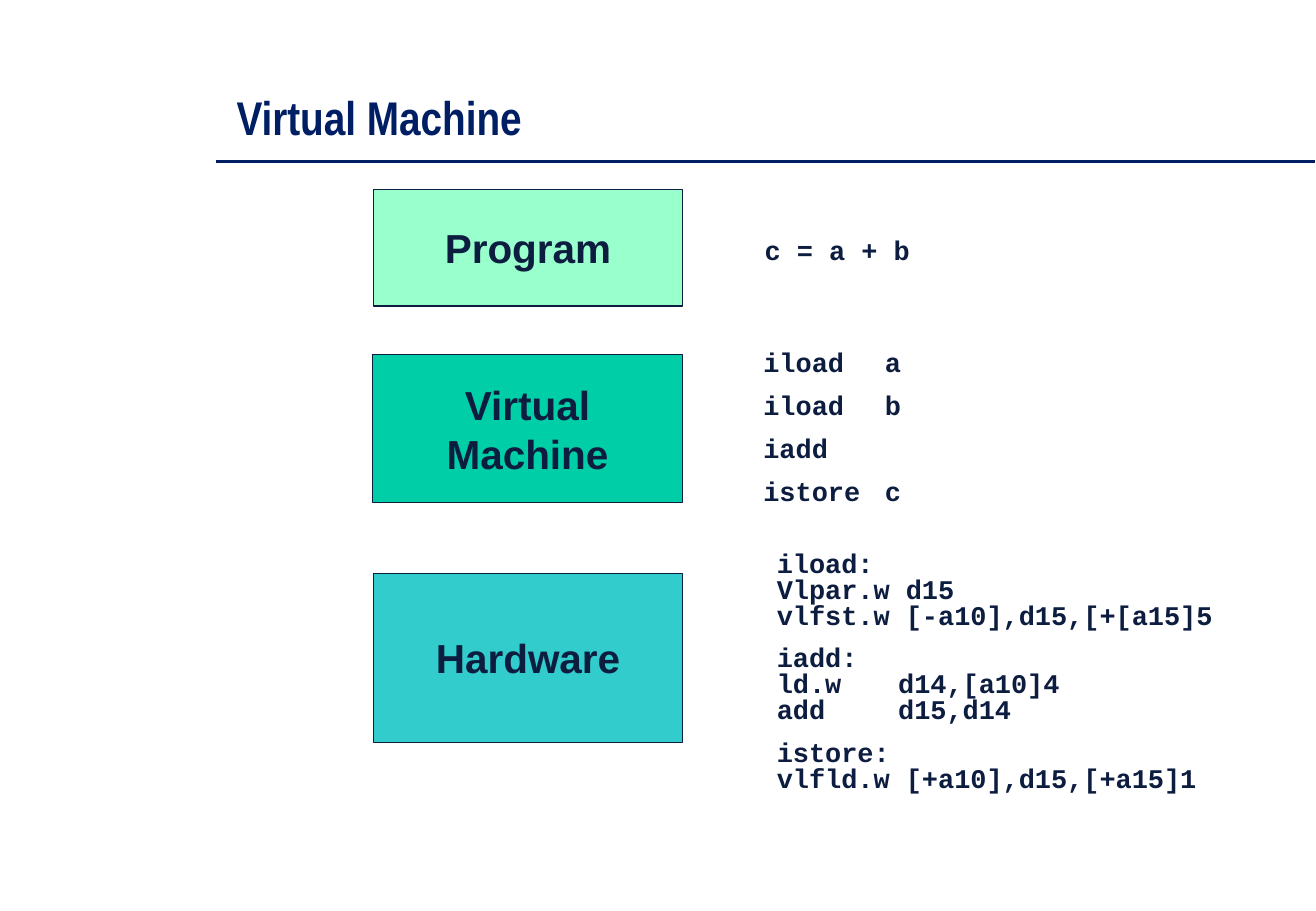
from lxml import etree
from pptx import Presentation
from pptx import util as u
from pptx.dml.color import RGBColor
from pptx.enum import shapes, text
from pptx.oxml.ns import qn

INK = "0D1D40"
NAVY = "001E64"

LAYERS = [  # label, left, top, width, height, fill
    ("Program", 3.08, 1.56, 2.54, 0.96, "99FFCC"),
    ("Virtual\nMachine", 3.07, 2.92, 2.55, 1.22, "00CEA7"),
    ("Hardware", 3.08, 4.72, 2.54, 1.39, "33CCCC"),
]

LISTINGS = [  # paragraphs, left, top, width, height, line spacing
    (["c = a + b"], 6.2, 1.87, 1.53, 0.37, None),
    (["iload\ta", "iload\tb", "iadd", "istore\tc"], 6.19, 2.85, 1.33, 1.37, 0.8),
    (["iload:\nVlpar.w d15\nvlfst.w [-a10],d15,[+[a15]5",
      "iadd:\nld.w\td14,[a10]4\nadd\td15,d14",
      "istore:\nvlfld.w [+a10],d15,[+a15]1"], 6.3, 4.5, 3.79, 2.09, 0.8),
]


def color(value):
    return RGBColor.from_string(value)


def inches(*values):
    return [u.Inches(value) for value in values]


def write(shape, paragraphs, font="Arial", size=24, ink=INK, align=text.PP_ALIGN.LEFT,
          anchor=text.MSO_ANCHOR.TOP, grow=False, line_spacing=None, gap=None, tab=None):
    """Fill a shape with bold paragraphs; a newline is a line break."""
    frame = shape.text_frame
    frame.word_wrap = False
    frame.vertical_anchor = anchor
    if grow:
        frame.auto_size = text.MSO_AUTO_SIZE.SHAPE_TO_FIT_TEXT
    for index, content in enumerate(paragraphs):
        paragraph = frame.add_paragraph() if index else frame.paragraphs[0]
        paragraph.text = content
        paragraph.alignment = align
        if line_spacing:
            paragraph.line_spacing = line_spacing
        if gap and index:
            paragraph.space_before = u.Pt(gap)
        if tab:
            stops = etree.SubElement(paragraph._p.get_or_add_pPr(), qn("a:tabLst"))
            etree.SubElement(stops, qn("a:tab"), pos=str(u.Inches(tab)), algn="l")
        for run in paragraph.runs:
            run.font.name = font
            run.font.size = u.Pt(size)
            run.font.bold = True
            run.font.color.rgb = color(ink)


def add_layer(slide, label, left, top, width, height, fill):
    shape = slide.shapes.add_shape(shapes.MSO_SHAPE.RECTANGLE,
                                   *inches(left, top, width, height))
    shape.shadow.inherit = False
    shape.fill.solid()
    shape.fill.fore_color.rgb = color(fill)
    shape.line.color.rgb = color(INK)
    shape.line.width = u.Pt(0.75)
    write(shape, [label], align=text.PP_ALIGN.CENTER, anchor=text.MSO_ANCHOR.MIDDLE)


def add_text(slide, paragraphs, left, top, width, height, **style):
    box = slide.shapes.add_textbox(*inches(left, top, width, height))
    write(box, paragraphs, grow=True, **style)


def add_rule(slide, left, right, y):
    rule = slide.shapes.add_connector(shapes.MSO_CONNECTOR.STRAIGHT,
                                      *inches(left, y, right, y))
    rule.line.color.rgb = color(NAVY)
    rule.line.width = u.Pt(1.75)
    etree.SubElement(rule._element.spPr, qn("a:effectLst"))


def main():
    presentation = Presentation()
    presentation.slide_width, presentation.slide_height = inches(10.84, 7.5)
    slide = presentation.slides.add_slide(presentation.slide_layouts[6])

    # Heading
    add_rule(slide, 1.78, 10.83, 1.33)
    add_text(slide, ["Virtual Machine"], 1.85, 0.68, 2.55, 0.57,
             font="Arial Narrow", size=28, ink=NAVY)

    # Stack of layers
    for layer in LAYERS:
        add_layer(slide, *layer)

    # Code at each layer
    for paragraphs, left, top, width, height, line_spacing in LISTINGS:
        add_text(slide, paragraphs, left, top, width, height, font="Courier New",
                 size=16, line_spacing=line_spacing, gap=10, tab=1)

    presentation.save("out.pptx")


if __name__ == "__main__":
    main()
